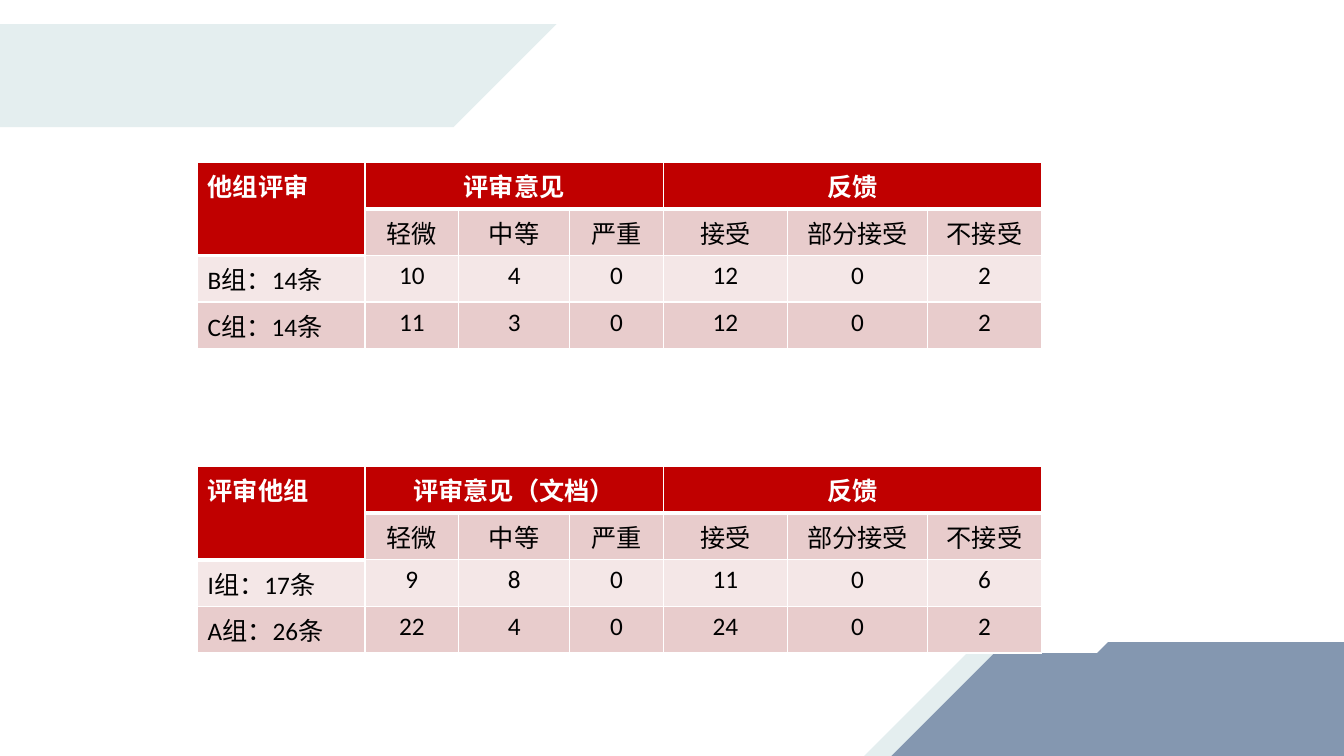
from lxml import etree
from pptx import Presentation
from pptx.dml.color import RGBColor
from pptx.enum.shapes import MSO_SHAPE
from pptx.enum.text import PP_ALIGN
from pptx.oxml.ns import qn
from pptx.util import Inches, Pt

PARALLELOGRAM = MSO_SHAPE.PARALLELOGRAM
LEFT, CENTER = PP_ALIGN.LEFT, PP_ALIGN.CENTER
WHITE = RGBColor(0xFF, 0xFF, 0xFF)
BLACK = RGBColor(0x00, 0x00, 0x00)
RED = RGBColor(0xC0, 0x00, 0x00)
ROSE = RGBColor(0xE8, 0xCC, 0xCC)
PALE_ROSE = RGBColor(0xF4, 0xE7, 0xE7)
MIST = RGBColor(0xE4, 0xEE, 0xEF)
SLATE = RGBColor(0x84, 0x97, 0xB0)

BANDS = [(-1.89, 0.24, MIST), (9.97, 6.37, SLATE), (8.57, 6.48, MIST), (8.84, 6.48, SLATE)]
COLUMN_WIDTHS = [1.66, 0.93, 1.1, 0.93, 1.23, 1.39, 1.13]
ROW_HEIGHT = 0.41
ROW_FILLS = [RED, ROSE, PALE_ROSE, ROSE]
SUBHEADINGS = ["", "轻微", "中等", "严重", "接受", "部分接受", "不接受"]
REVIEWS = [
    (1.61, ["他组评审", "评审意见", "", "", "反馈", "", ""],
     ["B组：14条", 10, 4, 0, 12, 0, 2],
     ["C组：14条", 11, 3, 0, 12, 0, 2]),
    (4.63, ["评审他组", "评审意见（文档）", "", "", "反馈", "", ""],
     ["I组：17条", 9, 8, 0, 11, 0, 6],
     ["A组：26条", 22, 4, 0, 24, 0, 2]),
]
MERGES = [((0, 0), (1, 0)), ((0, 1), (0, 3)), ((0, 4), (0, 6))]


def set_borders(cell, bottom_width):
    properties = cell._tc.get_or_add_tcPr()
    widths = {"a:lnL": 1, "a:lnR": 1, "a:lnT": 1, "a:lnB": bottom_width}
    for position, (tag, width) in enumerate(widths.items()):
        line = etree.Element(qn(tag), w=str(Pt(width)))
        fill = etree.SubElement(line, qn("a:solidFill"))
        etree.SubElement(fill, qn("a:srgbClr"), val=str(WHITE))
        properties.insert(position, line)


presentation = Presentation()
presentation.slide_width = Inches(13.33)
presentation.slide_height = Inches(7.5)
slide = presentation.slides.add_slide(presentation.slide_layouts[6])

for left, top, color in BANDS:
    band = slide.shapes.add_shape(
        PARALLELOGRAM, Inches(left), Inches(top), Inches(7.41), Inches(1.02))
    band.adjustments[0] = 1
    band.shadow.inherit = False
    band.fill.solid()
    band.fill.fore_color.rgb = color
    band.line.fill.background()

for top, headings, *groups in REVIEWS:
    rows = [headings, SUBHEADINGS, *groups]
    table = slide.shapes.add_table(
        len(rows), len(COLUMN_WIDTHS), Inches(1.96), Inches(top),
        Inches(sum(COLUMN_WIDTHS)), Inches(ROW_HEIGHT * len(rows))).table
    for column, width in zip(table.columns, COLUMN_WIDTHS):
        column.width = Inches(width)
    for row in table.rows:
        row.height = Inches(ROW_HEIGHT)
    for start, end in MERGES:
        table.cell(*start).merge(table.cell(*end))
    for row_index, values in enumerate(rows):
        for column_index, value in enumerate(values):
            cell = table.cell(row_index, column_index)
            is_heading = row_index == 0 or (row_index, column_index) == (1, 0)
            cell.fill.solid()
            cell.fill.fore_color.rgb = RED if is_heading else ROW_FILLS[row_index]
            set_borders(cell, 3 if is_heading else 1)
            if cell.is_spanned:
                continue
            paragraph = cell.text_frame.paragraphs[0]
            paragraph.alignment = CENTER if column_index else LEFT
            run = paragraph.add_run()
            run.text = str(value)
            font_format = {"name": "Calibri", "size": Pt(18), "bold": is_heading}
            for attribute, setting in font_format.items():
                setattr(run.font, attribute, setting)
            run.font.color.rgb = WHITE if is_heading else BLACK

presentation.save("out.pptx")
